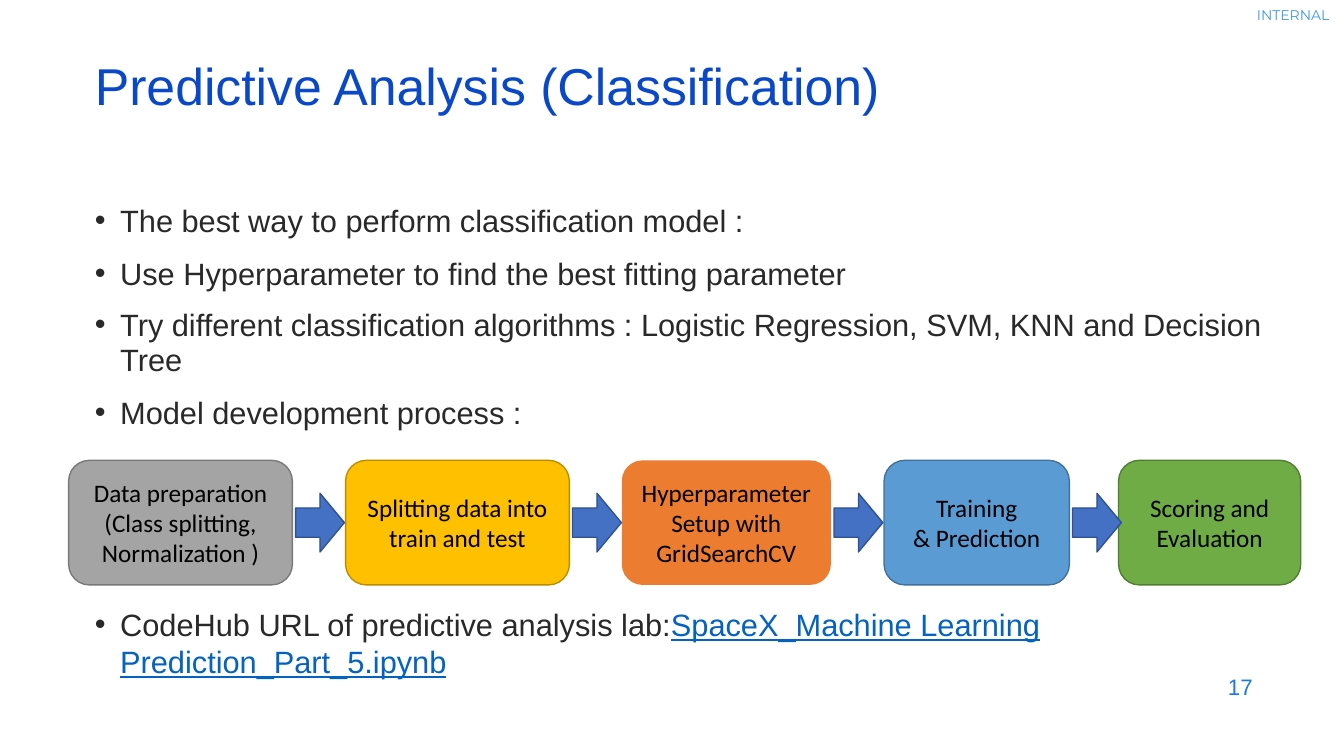
from lxml.etree import SubElement
from pptx import Presentation
from pptx.dml.color import RGBColor
from pptx.enum.shapes import MSO_SHAPE
from pptx.enum.text import MSO_ANCHOR, PP_ALIGN
from pptx.oxml.ns import qn
from pptx.util import Cm, Pt

TITLE_BLUE = RGBColor(0x0A, 0x48, 0xCA)
LABEL_BLUE = RGBColor(0x40, 0x99, 0xDA)
NUMBER_BLUE = RGBColor(0x1C, 0x7C, 0xDB)
LINK_BLUE = RGBColor(0x04, 0x62, 0xC1)
BODY_GREY = RGBColor(0x29, 0x29, 0x29)
BLACK = RGBColor(0, 0, 0)
ARROW_FILL = RGBColor(0x44, 0x71, 0xC4)
ARROW_LINE = RGBColor(0x2E, 0x52, 0x8F)

TITLE = "Predictive Analysis (Classification)"
LABEL = "INTERNAL"
PAGE_NUMBER = "17"
# Text, space before, line spacing
BULLETS = [
    ("The best way to perform classification model :", 0, None),
    ("Use Hyperparameter to find the best fitting parameter", 11.4, None),
    ("Try different classification algorithms : Logistic Regression, SVM, KNN and Decision Tree",
     11.4, 25.1),
    ("Model development process :", 11.3, None),
]
LINK_LEAD = "CodeHub URL of predictive analysis lab:"
LINK = "SpaceX_Machine Learning Prediction_Part_5.ipynb"

# Text, left and width in cm, fill, outline
STEPS = [
    ("Data preparation (Class splitting, Normalization )", 1.73, 5.64,
     RGBColor(0xA4, 0xA4, 0xA4), RGBColor(0x78, 0x78, 0x78)),
    ("Splitting data into train and test", 8.71, 5.64,
     RGBColor(0xFF, 0xC0, 0x00), RGBColor(0xBB, 0x8B, 0x00)),
    ("Hyperparameter Setup with GridSearchCV", 15.67, 5.27,
     RGBColor(0xEC, 0x7C, 0x30), None),
    ("Training\n& Prediction", 22.28, 4.67,
     RGBColor(0x5B, 0x9B, 0xD4), RGBColor(0x41, 0x70, 0x9C)),
    ("Scoring and Evaluation", 28.19, 4.59,
     RGBColor(0x6F, 0xAC, 0x46), RGBColor(0x50, 0x7D, 0x31)),
]
STEP_TOP, STEP_HEIGHT, STEP_INSET = 11.6, 3.14, 0.2
ARROW_GAP, ARROW_WIDTH, ARROW_HEIGHT = 0.08, 1.23, 1.48


def set_font(font, name, size, color):
    font.name, font.size = name, Pt(size)
    font.color.rgb = color


def set_margins(frame, side, top=0):
    frame.margin_left = frame.margin_right = Cm(side)
    frame.margin_top, frame.margin_bottom = Cm(top), 0


def add_text_box(page, left, top, width, height, inset_top=0):
    frame = page.shapes.add_textbox(Cm(left), Cm(top), Cm(width), Cm(height)).text_frame
    frame.word_wrap = True
    set_margins(frame, 0, inset_top)
    return frame


def add_line(page, text, place, name, size, color, align=PP_ALIGN.LEFT):
    para = add_text_box(page, *place).paragraphs[0]
    para.text, para.alignment = text, align
    set_font(para.font, name, size, color)


def make_bullet(para):
    properties = para._p.get_or_add_pPr()
    properties.set("marL", str(Cm(0.65)))
    properties.set("indent", str(-Cm(0.64)))
    SubElement(properties, qn("a:buFont"), typeface="Arial")
    SubElement(properties, qn("a:buChar"), char="•")
    set_font(para.font, "Arial", 22, BODY_GREY)


def add_flat_shape(page, kind, left, top, width, height, fill, outline):
    shape = page.shapes.add_shape(kind, Cm(left), Cm(top), Cm(width), Cm(height))
    shape.shadow.inherit = False
    shape.fill.solid()
    shape.fill.fore_color.rgb = fill
    if outline is None:
        shape.line.fill.background()
    else:
        shape.line.color.rgb = outline
        shape.line.width = Pt(0.96)
    return shape


def add_bullets(page):
    frame = add_text_box(page, 2.38, 4.65, 29.54, 6.25, 0.43)
    for index, (text, before, spacing) in enumerate(BULLETS):
        para = frame.add_paragraph() if index else frame.paragraphs[0]
        para.text = text
        make_bullet(para)
        if before:
            para.space_before = Pt(before)
        if spacing:
            para.line_spacing = Pt(spacing)


def add_link_bullet(page):
    para = add_text_box(page, 2.38, 15.23, 24.77, 1.91, 0.03).paragraphs[0]
    make_bullet(para)
    para.add_run().text = LINK_LEAD
    span = para.add_run()
    span.text = LINK
    span.font.underline = True
    span.font.color.rgb = LINK_BLUE


def add_process(page):
    for text, left, width, fill, outline in STEPS:
        box = add_flat_shape(page, MSO_SHAPE.ROUNDED_RECTANGLE, left, STEP_TOP,
                             width, STEP_HEIGHT, fill, outline)
        frame = box.text_frame
        frame.word_wrap = True
        frame.vertical_anchor = MSO_ANCHOR.MIDDLE
        set_margins(frame, STEP_INSET)
        frame.text = text
        for para in frame.paragraphs:
            para.alignment = PP_ALIGN.CENTER
            set_font(para.font, "Calibri", 18, BLACK)

    arrow_top = STEP_TOP + (STEP_HEIGHT - ARROW_HEIGHT) / 2
    for _, left, width, _, _ in STEPS[:-1]:
        add_flat_shape(page, MSO_SHAPE.RIGHT_ARROW, left + width + ARROW_GAP, arrow_top,
                       ARROW_WIDTH, ARROW_HEIGHT, ARROW_FILL, ARROW_LINE)


def main():
    deck = Presentation()
    deck.slide_width, deck.slide_height = Cm(33.87), Cm(19.05)
    page = deck.slides.add_slide(deck.slide_layouts[6])
    add_line(page, LABEL, (30.9, 0.16, 2.6, 0.43), "Montserrat", 10, LABEL_BLUE,
             PP_ALIGN.RIGHT)
    add_line(page, TITLE, (2.39, 1.32, 29.15, 1.5, 0.03), "Arial", 37, TITLE_BLUE)
    add_bullets(page)
    add_process(page)
    add_link_bullet(page)
    add_line(page, PAGE_NUMBER, (30.83, 16.95, 0.86, 0.71), "Arial", 16, NUMBER_BLUE,
             PP_ALIGN.CENTER)
    deck.save("out.pptx")


if __name__ == "__main__":
    main()
